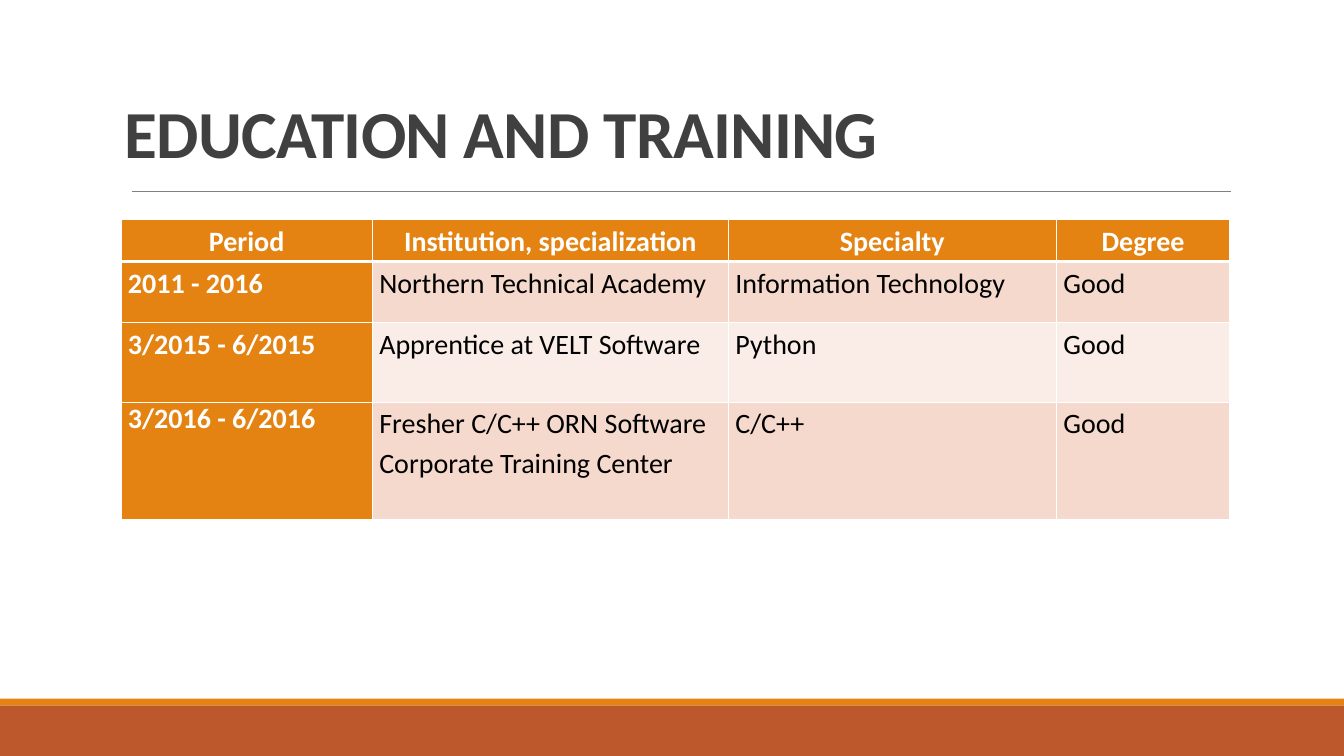
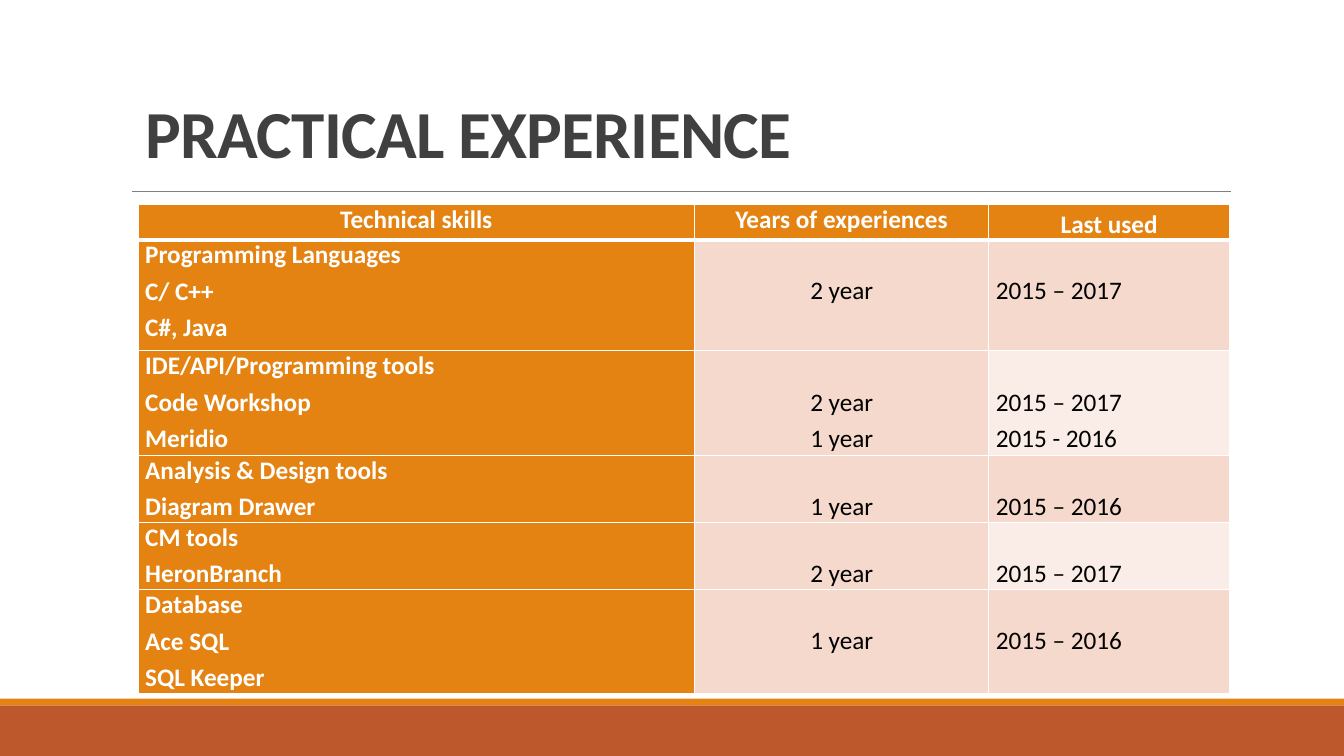
from lxml.etree import SubElement
from pptx import Presentation
from pptx.dml.color import RGBColor
from pptx.enum.shapes import MSO_CONNECTOR, MSO_SHAPE
from pptx.enum.text import MSO_ANCHOR, PP_ALIGN
from pptx.oxml import parse_xml
from pptx.oxml.ns import nsdecls, qn
from pptx.util import Inches, Pt

COLORS = {
    "band": "BD582C",
    "accent": "E48312",
    "rule": "808080",
    "title": "404040",
    "tint": "F5D9CC",
    "pale": "FAEDE7",
    "white": "FFFFFF",
    "black": "000000",
}
FONT = "Calibri"

deck = Presentation()
deck.slide_width, deck.slide_height = Inches(13.33), Inches(7.5)

# The grid: 100 columns by 100 rows over the slide
COLUMN, ROW = deck.slide_width / 100, deck.slide_height / 100


def grid(left, top, width, height):
    return [int(left * COLUMN), int(top * ROW), int(width * COLUMN), int(height * ROW)]


def style_font(paragraph, size, color, bold):
    font = paragraph.font
    font.name, font.size, font.bold = FONT, Pt(size), bold
    font.color.rgb = RGBColor.from_string(COLORS[color])


# Content: a cell is a string, or a tuple with one entry per line
PAGES = [
    {
        "title": "EDUCATION AND TRAINING",
        "title_left": 8.55,
        "table_at": (9, 29),
        "columns": [18.7, 26.5, 24.4, 12.9],
        "rows": [5.6, 8.1, 10.5, 15.6],
        "size": 20,
        "line_spacing": 1.15,
        "spacing_exceptions": {(3, 0): 1.0},
        "gap": 0,
        "lead": 0,
        "centered": [],
        "striped_from": 1,
        "cells": [
            ["Period", "Institution, specialization", "Specialty", "Degree"],
            ["2011 - 2016", "Northern Technical Academy", "Information Technology", "Good"],
            ["3/2015 - 6/2015", "Apprentice at VELT Software", "Python", "Good"],
            ["3/2016 - 6/2016", "Fresher C/C++ ORN Software Corporate Training Center", "C/C++", "Good"],
        ],
    },
    {
        "title": "PRACTICAL EXPERIENCE",
        "title_left": 10.05,
        "table_at": (10.28, 27.1),
        "columns": [41.4, 21.9, 17.9],
        "rows": [4.6, 14.7, 13.8, 8.9, 8.9, 13.7],
        "size": 18,
        "line_spacing": 1.0,
        "spacing_exceptions": {(0, 2): 1.15},
        "gap": 2,
        "lead": 4.8,  # values start one line below the skill heading
        "centered": [1],
        "striped_from": 2,
        "cells": [
            ["Technical skills", "Years of experiences", "Last used"],
            [("Programming Languages", "C/ C++", "C#, Java"), "2 year", "2015 – 2017"],
            [("IDE/API/Programming tools", "Code Workshop", "Meridio"),
             ("2 year", "1 year"), ("2015 – 2017", "2015 - 2016")],
            [("Analysis & Design tools", "Diagram Drawer"), "1 year", "2015 – 2016"],
            [("CM tools", "HeronBranch"), "2 year", "2015 – 2017"],
            [("Database", "Ace SQL", "SQL Keeper"), "1 year", "2015 – 2016"],
        ],
    },
]

for page in PAGES:
    slide = deck.slides.add_slide(deck.slide_layouts[6])

    # Footer bands
    for color, top, height in [("band", 93.3, 6.7), ("accent", 92.4, 0.9)]:
        band = slide.shapes.add_shape(MSO_SHAPE.RECTANGLE, *grid(0, top, 100, height))
        band.shadow.inherit = False
        band.fill.solid()
        band.fill.fore_color.rgb = RGBColor.from_string(COLORS[color])
        band.line.fill.background()

    # Rule under the title
    rule = slide.shapes.add_connector(MSO_CONNECTOR.STRAIGHT, *grid(9.83, 25.3, 91.6, 25.3))
    rule.line.color.rgb = RGBColor.from_string(COLORS["rule"])
    rule.line.width = Pt(0.5)
    SubElement(rule.element.spPr, qn("a:effectLst"))

    # Title
    heading = slide.shapes.add_textbox(*grid(page["title_left"], 11.5, 82.5, 12)).text_frame
    heading.word_wrap = True
    heading.vertical_anchor = MSO_ANCHOR.BOTTOM
    line = heading.paragraphs[0]
    line.text = page["title"]
    line.line_spacing = 0.85
    style_font(line, 48, "title", True)
    line.runs[0].font.element.set("spc", "-50") if hasattr(line.runs[0].font, "element") else \
        line.runs[0]._r.get_or_add_rPr().set("spc", "-50")

    # Table
    columns, rows = page["columns"], page["rows"]
    table = slide.shapes.add_table(
        len(rows), len(columns), *grid(*page["table_at"], sum(columns), sum(rows))).table
    table.horz_banding = False
    for column, width in zip(table.columns, columns):
        column.width = int(width * COLUMN)
    for row, height in zip(table.rows, rows):
        row.height = int(height * ROW)

    for r, entries in enumerate(page["cells"]):
        for c, entry in enumerate(entries):
            cell = table.cell(r, c)
            is_header = r == 0
            is_label = is_header or c == 0
            cell.margin_left = cell.margin_right = Inches(0.07)
            cell.margin_top = 0 if is_label else int(page["lead"] * ROW)
            cell.margin_bottom = 0

            # Fill
            striped = r % 2 == 0 and c >= page["striped_from"]
            fill = "accent" if is_label else "pale" if striped else "tint"
            cell.fill.solid()
            cell.fill.fore_color.rgb = RGBColor.from_string(COLORS[fill])

            # Borders, heavier between header and body
            edges = {"lnL": 1, "lnR": 1, "lnT": 3 if r == 1 else 1, "lnB": 3 if is_header else 1}
            for place, (edge, points) in enumerate(edges.items()):
                cell._tc.get_or_add_tcPr().insert(place, parse_xml(
                    f'<a:{edge} {nsdecls("a")} w="{Pt(points)}"><a:solidFill>'
                    f'<a:srgbClr val="{COLORS["white"]}"/></a:solidFill></a:{edge}>'))

            # Text
            lines = [entry] if isinstance(entry, str) else entry
            cell.text_frame.text = "\n".join(lines)
            for line in cell.text_frame.paragraphs:
                line.line_spacing = page["spacing_exceptions"].get((r, c), page["line_spacing"])
                line.space_before = line.space_after = Pt(page["gap"])
                centered = is_header or c in page["centered"]
                line.alignment = PP_ALIGN.CENTER if centered else PP_ALIGN.LEFT
                style_font(line, page["size"], "white" if is_label else "black", is_label)

deck.save("out.pptx")
